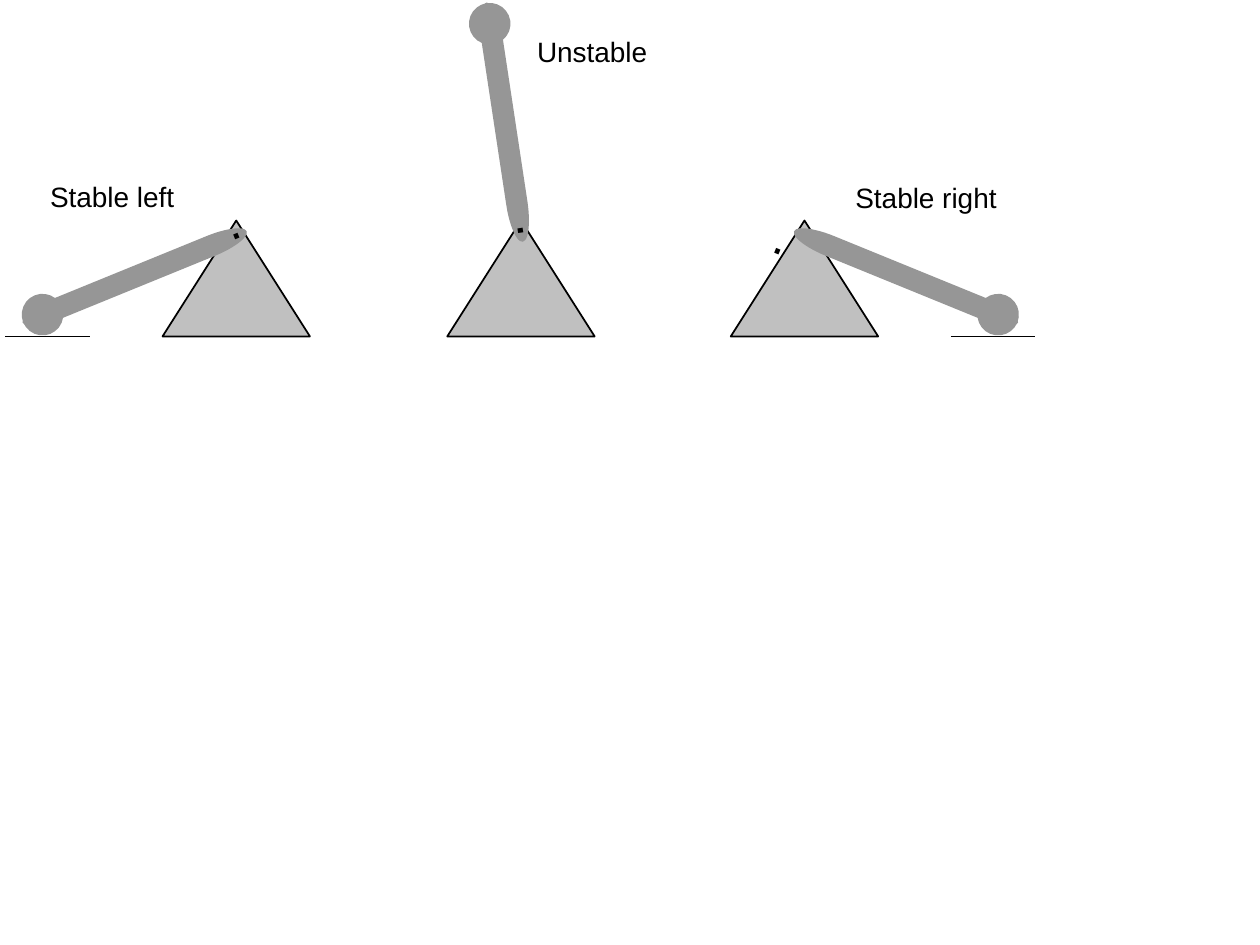
from math import cos, radians, sin

from lxml.etree import SubElement
from pptx import Presentation
from pptx.dml.color import RGBColor
from pptx.enum.shapes import MSO_CONNECTOR, MSO_SHAPE
from pptx.enum.text import MSO_ANCHOR, MSO_AUTO_SIZE, PP_ALIGN
from pptx.oxml.ns import qn
from pptx.util import Inches, Pt

BLACK, ARM_GRAY, STAND_GRAY = "000000", "969696", "C0C0C0"
STAND_WIDTH, STAND_HEIGHT, STAND_TOP = 1.17, 0.92, 1.75
ARM_LENGTH, ARM_THICKNESS = 1.92, 0.17
BOB_SIZE = 0.33
PIVOT_TO_ARM = 0.87  # pivot to the middle of the arm
ARM_TO_BOB = 0.79  # middle of the arm to the middle of the bob
GROUND_WIDTH, GROUND_SHIFT = 0.67, 0.04


def color(value):
    return RGBColor.from_string(value)


def centered(x, y, width, height):
    return [Inches(n) for n in (x - width / 2, y - height / 2, width, height)]


def add_solid(shapes, kind, box, fill, line=None, rotation=0):
    shape = shapes.add_shape(kind, *box)
    shape.shadow.inherit = False
    shape.rotation = rotation
    shape.fill.solid()
    shape.fill.fore_color.rgb = color(fill)
    if line:
        shape.line.color.rgb = color(line)
        shape.line.width = Pt(1)
    else:
        shape.line.fill.background()


def add_text(shapes, text, box, size=16, rotation=0):
    shape = shapes.add_textbox(*box)
    shape.rotation = rotation
    frame = shape.text_frame
    frame.word_wrap = False
    frame.auto_size = MSO_AUTO_SIZE.SHAPE_TO_FIT_TEXT
    frame.vertical_anchor = MSO_ANCHOR.MIDDLE
    paragraph = frame.paragraphs[0]
    paragraph.alignment = PP_ALIGN.CENTER
    run = paragraph.add_run()
    run.text = text
    run.font.name = "Arial"
    run.font.size = Pt(size)
    run.font.color.rgb = color(BLACK)


def add_ground(shapes, x, y):
    left, right = Inches(x - GROUND_WIDTH / 2), Inches(x + GROUND_WIDTH / 2)
    line = shapes.add_connector(MSO_CONNECTOR.STRAIGHT, left, Inches(y), right, Inches(y))
    line.line.color.rgb = color(BLACK)
    line.line.width = Pt(1)
    SubElement(line._element.spPr, qn("a:effectLst"))


def add_pendulum(slide, left, angle, side, pivot_drop=0.12, dot_shift=(0, 0), ground=True):
    """Draw a stand with its arm; side is -1 or 1, the way the bob lies along the arm."""
    shapes = slide.shapes.add_group_shape().shapes
    along_x, along_y = cos(radians(angle)), sin(radians(angle))
    pivot_x, pivot_y = left + STAND_WIDTH / 2, STAND_TOP + pivot_drop

    def on_arm(distance):
        return pivot_x + side * distance * along_x, pivot_y + side * distance * along_y

    stand = [Inches(n) for n in (left, STAND_TOP, STAND_WIDTH, STAND_HEIGHT)]
    add_solid(shapes, MSO_SHAPE.ISOSCELES_TRIANGLE, stand, STAND_GRAY, line=BLACK)
    arm = centered(*on_arm(PIVOT_TO_ARM), ARM_LENGTH, ARM_THICKNESS)
    add_solid(shapes, MSO_SHAPE.FLOWCHART_TERMINATOR, arm, ARM_GRAY, rotation=angle)
    bob_x, bob_y = on_arm(PIVOT_TO_ARM + ARM_TO_BOB)
    bob = centered(bob_x, bob_y, BOB_SIZE, BOB_SIZE)
    add_solid(shapes, MSO_SHAPE.OVAL, bob, ARM_GRAY, rotation=angle)
    # The full stop sits below the middle of its box, so the box is moved up
    # in its own rotated frame to put the dot where it belongs.
    dot_x, dot_y = pivot_x + dot_shift[0], pivot_y + dot_shift[1]
    dot = centered(dot_x + 0.13 * along_y, dot_y - 0.13 * along_x, 0.31, 0.57)
    add_text(shapes, ".", dot, size=28, rotation=angle)
    if ground:
        add_ground(shapes, bob_x - side * GROUND_SHIFT, STAND_TOP + STAND_HEIGHT)


def main():
    presentation = Presentation()
    presentation.slide_width, presentation.slide_height = Inches(10), Inches(7.5)
    slide = presentation.slides.add_slide(presentation.slide_layouts[6])

    add_pendulum(slide, 1.29, angle=-22.2, side=-1)
    add_pendulum(slide, 5.8, angle=22.2, side=1, dot_shift=(-0.21, 0.12))
    add_pendulum(slide, 3.55, angle=81.4, side=-1, pivot_drop=0.08, ground=False)

    for text, x, y, width in (
        ("Stable left", 0.89, 1.56, 1.22),
        ("Stable right", 7.35, 1.57, 1.36),
        ("Unstable", 4.7, 0.41, 1.11),
    ):
        add_text(slide.shapes, text, centered(x, y, width, 0.37))

    presentation.save("out.pptx")


if __name__ == "__main__":
    main()
